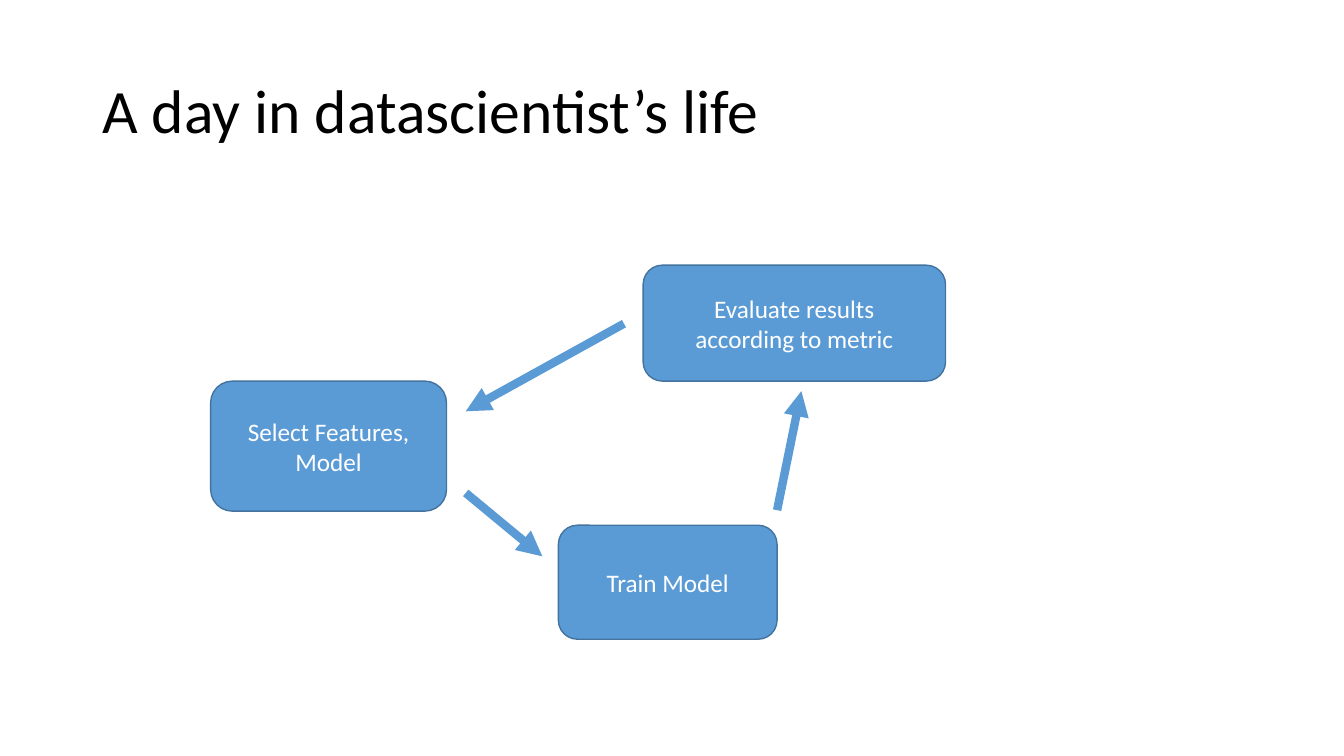
from lxml import etree
from pptx import Presentation
from pptx.dml.color import RGBColor
from pptx.enum import shapes, text
from pptx.oxml.ns import qn
from pptx.util import Pt

BLUE, EDGE, WHITE, BLACK = "5B9BD5", "43739E", "FFFFFF", "000000"

NODES = [
    ("Select Features,\vModel", 0, 82.8, 168.5, 92.9),
    ("Train Model", 248.4, 185.8, 156.2, 81.4),
    ("Evaluate results\naccording to metric", 308.9, 0, 216, 82.8),
]
ARROWS = [
    (182.2, 162.7, 236.9, 208),
    (404.6, 175, 421.9, 90),
    (295.2, 41.8, 182.2, 104.4),
]


def tint(color, code):
    """Set a colour from a hex string."""
    color.rgb = RGBColor.from_string(code)


def write(shape, words, size, code, align):
    """Fill a shape with formatted text, centred vertically."""
    frame = shape.text_frame
    frame.text = words
    frame.word_wrap = True
    frame.auto_size = text.MSO_AUTO_SIZE.NONE
    frame.vertical_anchor = text.MSO_ANCHOR.MIDDLE
    for para in frame.paragraphs:
        para.alignment = align
        for run in para.runs:
            run.font.name = "Calibri"
            run.font.size = Pt(size)
            tint(run.font.color, code)


def add_title(slide, left, top, width, height):
    """Place the heading in the given box."""
    title = slide.shapes.title
    title.left, title.top = Pt(left), Pt(top)
    title.width, title.height = Pt(width), Pt(height)
    write(title, "A day in datascientist’s life", 44, BLACK, text.PP_ALIGN.LEFT)
    title.text_frame.paragraphs[0].line_spacing = 0.9


def add_node(slide, words, left, top, width, height):
    """Draw one rounded step of the cycle."""
    node = slide.shapes.add_shape(
        shapes.MSO_SHAPE.ROUNDED_RECTANGLE,
        Pt(left), Pt(top), Pt(width), Pt(height))
    node.shadow.inherit = False
    node.fill.solid()
    tint(node.fill.fore_color, BLUE)
    tint(node.line.color, EDGE)
    node.line.width = Pt(1)
    write(node, words, 18, WHITE, text.PP_ALIGN.CENTER)


def add_arrow(slide, *ends):
    """Draw a thick arrow from the first point to the second."""
    arrow = slide.shapes.add_connector(
        shapes.MSO_CONNECTOR.STRAIGHT, *map(Pt, ends))
    tint(arrow.line.color, BLUE)
    arrow.line.width = Pt(6)
    etree.SubElement(arrow.line._get_or_add_ln(), qn("a:tailEnd"), type="triangle")
    etree.SubElement(arrow._element.spPr, qn("a:effectLst"))


def add_cycle(slide, left, top):
    """Place the steps and arrows relative to the cycle's corner."""
    for words, x, y, width, height in NODES:
        add_node(slide, words, left + x, top + y, width, height)
    for x1, y1, x2, y2 in ARROWS:
        add_arrow(slide, left + x1, top + y1, left + x2, top + y2)


def main():
    """Build and save the slide."""
    deck = Presentation()
    deck.slide_width, deck.slide_height = Pt(960), Pt(540)
    slide = deck.slides.add_slide(deck.slide_layouts[5])
    add_title(slide, 66, 28.8, 828, 104.4)
    add_cycle(slide, 150.5, 189.4)
    deck.save("out.pptx")


main()
